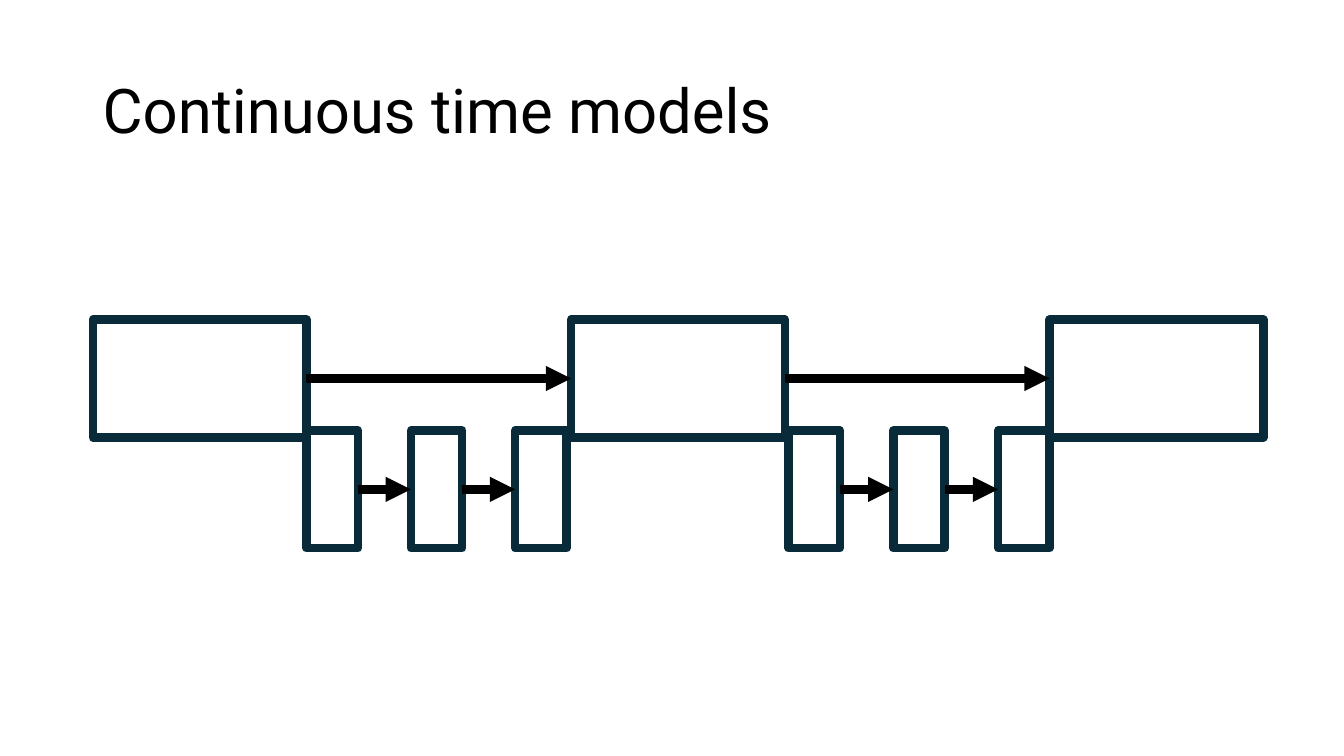
from dataclasses import dataclass

from lxml import etree
from pptx import Presentation
from pptx.dml.color import RGBColor
from pptx.enum.shapes import MSO_CONNECTOR, MSO_SHAPE
from pptx.enum.text import MSO_ANCHOR
from pptx.oxml.ns import qn
from pptx.util import Inches, Pt

RECTANGLE = MSO_SHAPE.RECTANGLE
STRAIGHT = MSO_CONNECTOR.STRAIGHT
MIDDLE = MSO_ANCHOR.MIDDLE
LEFT_SIDE, RIGHT_SIDE = 1, 3
BLANK_LAYOUT = 6


@dataclass(frozen=True)
class Theme:
    font: str = "Roboto"
    title_size: float = 44
    line_width: float = 6
    text: RGBColor = RGBColor(0x00, 0x00, 0x00)
    arrow: RGBColor = RGBColor(0x00, 0x00, 0x00)
    outline: RGBColor = RGBColor(0x09, 0x2A, 0x39)


class SlideBuilder:
    def __init__(self, slide, theme):
        self.slide = slide
        self.theme = theme

    def title(self, text, left, top, width, height):
        shape = self.slide.shapes.add_textbox(
            Inches(left), Inches(top), Inches(width), Inches(height))
        frame = shape.text_frame
        frame.word_wrap = True
        frame.vertical_anchor = MIDDLE
        paragraph = frame.paragraphs[0]
        paragraph.line_spacing = 0.9
        run = paragraph.add_run()
        run.text = text
        run.font.name = self.theme.font
        run.font.size = Pt(self.theme.title_size)
        run.font.color.rgb = self.theme.text

    def box(self, left, top, width, height):
        shape = self.slide.shapes.add_shape(
            RECTANGLE, Inches(left), Inches(top), Inches(width), Inches(height))
        shape.shadow.inherit = False
        shape.fill.background()
        shape.line.color.rgb = self.theme.outline
        shape.line.width = Pt(self.theme.line_width)
        return shape

    def arrow(self, source, target):
        connector = self.slide.shapes.add_connector(STRAIGHT, 0, 0, 0, 0)
        connector.begin_connect(source, RIGHT_SIDE)
        connector.end_connect(target, LEFT_SIDE)
        connector.line.color.rgb = self.theme.arrow
        connector.line.width = Pt(self.theme.line_width)
        line = connector.line._get_or_add_ln()
        etree.SubElement(line, qn("a:tailEnd"), type="triangle")
        etree.SubElement(connector._element.spPr, qn("a:effectLst"))

    def chain(self, first_left, last_left, top, width, height, count=3):
        """Evenly spaced boxes, each joined to the next by an arrow."""
        step = (last_left - first_left) / (count - 1)
        boxes = [self.box(first_left + index * step, top, width, height)
                 for index in range(count)]
        for source, target in zip(boxes, boxes[1:]):
            self.arrow(source, target)


def main():
    presentation = Presentation()
    presentation.slide_width = Inches(13.33)
    presentation.slide_height = Inches(7.5)
    slide = presentation.slides.add_slide(
        presentation.slide_layouts[BLANK_LAYOUT])
    builder = SlideBuilder(slide, Theme())

    builder.title("Continuous time models", 0.92, 0.4, 11.5, 1.45)

    # Main time steps
    builder.chain(0.92, 10.41, top=3.17, width=2.12, height=1.17)

    # Finer steps between each pair of main steps
    for first_left, last_left in ((3.04, 5.11), (7.82, 9.9)):
        builder.chain(first_left, last_left, top=4.27, width=0.51, height=1.17)

    presentation.save("out.pptx")


if __name__ == "__main__":
    main()
